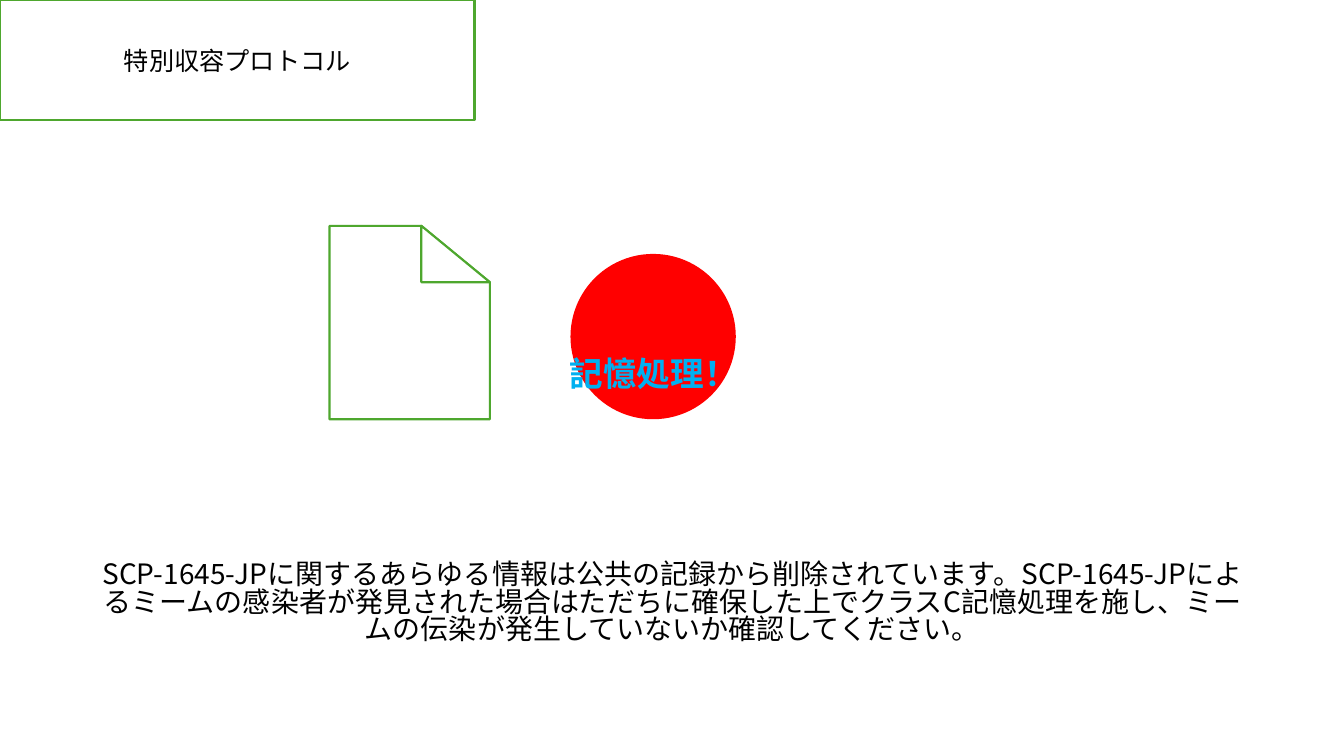
from lxml import etree
from pptx import Presentation
from pptx.dml.color import RGBColor
from pptx.enum.shapes import MSO_SHAPE
from pptx.enum.text import MSO_ANCHOR, MSO_AUTO_SIZE, PP_ALIGN
from pptx.oxml.ns import qn
from pptx.util import Pt

RECTANGLE_TRIANGLE = MSO_SHAPE.RIGHT_TRIANGLE
OVAL = MSO_SHAPE.OVAL
MIDDLE = MSO_ANCHOR.MIDDLE
CENTER = PP_ALIGN.CENTER
NO_AUTOFIT = MSO_AUTO_SIZE.NONE

FONT = "Noto Sans CJK JP"
BLACK = RGBColor(0, 0, 0)
WHITE = RGBColor(255, 255, 255)
GREEN = RGBColor(0x4E, 0xA7, 0x2E)
RED = RGBColor(255, 0, 0)
BLUE = RGBColor(0x00, 0xB0, 0xF0)

HEADING = "特別収容プロトコル"
INSTRUCTIONS = (
    "SCP-1645-JPに関するあらゆる情報は公共の記録から削除されています。"
    "SCP-1645-JPによるミームの感染者が発見された場合はただちに確保した上で"
    "クラスC記憶処理を施し、ミームの伝染が発生していないか確認してください。"
)
SHOUT = "記憶処理！"

# Left, top, width, height in points
HEADING_BOX = (0, 0, 339, 85.7)
INSTRUCTIONS_BOX = (62.6, 375.8, 835.2, 110.9)
SHOUT_BOX = (-10.8, 85.7, 955.4, 362.2)
PAGE_BOX = (235.4, 161.3, 114.5, 138.2)
FOLD_SIZE = (49, 40.3)
CIRCLE_BOX = (407.5, 181.4, 118.1, 118.1)


def place(shape, box):
    shape.left, shape.top, shape.width, shape.height = map(Pt, box)


def paint(shape, fill, line=None):
    shape.fill.solid()
    shape.fill.fore_color.rgb = fill
    if line is None:
        shape.line.fill.background()
    else:
        shape.line.color.rgb = line
        shape.line.width = Pt(1.5)


def write(shape, text, size, color=BLACK, bold=False, spacing=1.0):
    frame = shape.text_frame
    frame.word_wrap = True
    frame.auto_size = NO_AUTOFIT
    frame.vertical_anchor = MIDDLE
    paragraph = frame.paragraphs[0]
    paragraph.alignment = CENTER
    paragraph.line_spacing = spacing
    paragraph.space_before = Pt(0)
    run = paragraph.add_run()
    run.text = text
    run.font.size = Pt(size)
    run.font.bold = bold
    run.font.color.rgb = color
    run.font.name = FONT
    properties = run.font._element
    latin = properties.find(qn("a:latin"))
    east_asian = etree.Element(qn("a:ea"), typeface=FONT)
    latin.addnext(east_asian)
    return run


def outline_text(run, color, width):
    outline = etree.Element(qn("a:ln"), w=str(Pt(width)))
    fill = etree.SubElement(outline, qn("a:solidFill"))
    etree.SubElement(fill, qn("a:srgbClr"), val=str(color))
    etree.SubElement(outline, qn("a:prstDash"), val="lgDashDot")
    run.font._element.insert(0, outline)


def add_folded_page(shapes):
    left, top, width, height = PAGE_BOX
    fold_width, fold_height = FOLD_SIZE
    right, bottom = left + width, top + height
    fold_left = right - fold_width
    corners = [(fold_left, top), (right, top + fold_height), (right, bottom), (left, bottom)]

    group = shapes.add_group_shape()
    builder = group.shapes.build_freeform(Pt(left), Pt(top))
    builder.add_line_segments([(Pt(x), Pt(y)) for x, y in corners], close=True)
    page = builder.convert_to_shape()
    fold = group.shapes.add_shape(
        RECTANGLE_TRIANGLE, Pt(fold_left), Pt(top), Pt(fold_width), Pt(fold_height))
    for part in (page, fold):
        part.shadow.inherit = False
        paint(part, WHITE, GREEN)


def main():
    presentation = Presentation()
    presentation.slide_width, presentation.slide_height = Pt(960), Pt(540)
    slide = presentation.slides.add_slide(presentation.slide_layouts[5])
    shapes = slide.shapes

    heading = shapes.title
    place(heading, HEADING_BOX)
    paint(heading, WHITE, GREEN)
    write(heading, HEADING, 18)

    instructions = shapes.add_textbox(*map(Pt, INSTRUCTIONS_BOX))
    write(instructions, INSTRUCTIONS, 20, spacing=0.83)

    add_folded_page(shapes)

    circle = shapes.add_shape(OVAL, *map(Pt, CIRCLE_BOX))
    circle.shadow.inherit = False
    paint(circle, RED)

    shout = shapes.add_textbox(*map(Pt, SHOUT_BOX))
    outline_text(write(shout, SHOUT, 24, color=BLUE, bold=True), BLACK, 0.25)

    presentation.save("out.pptx")


if __name__ == "__main__":
    main()
